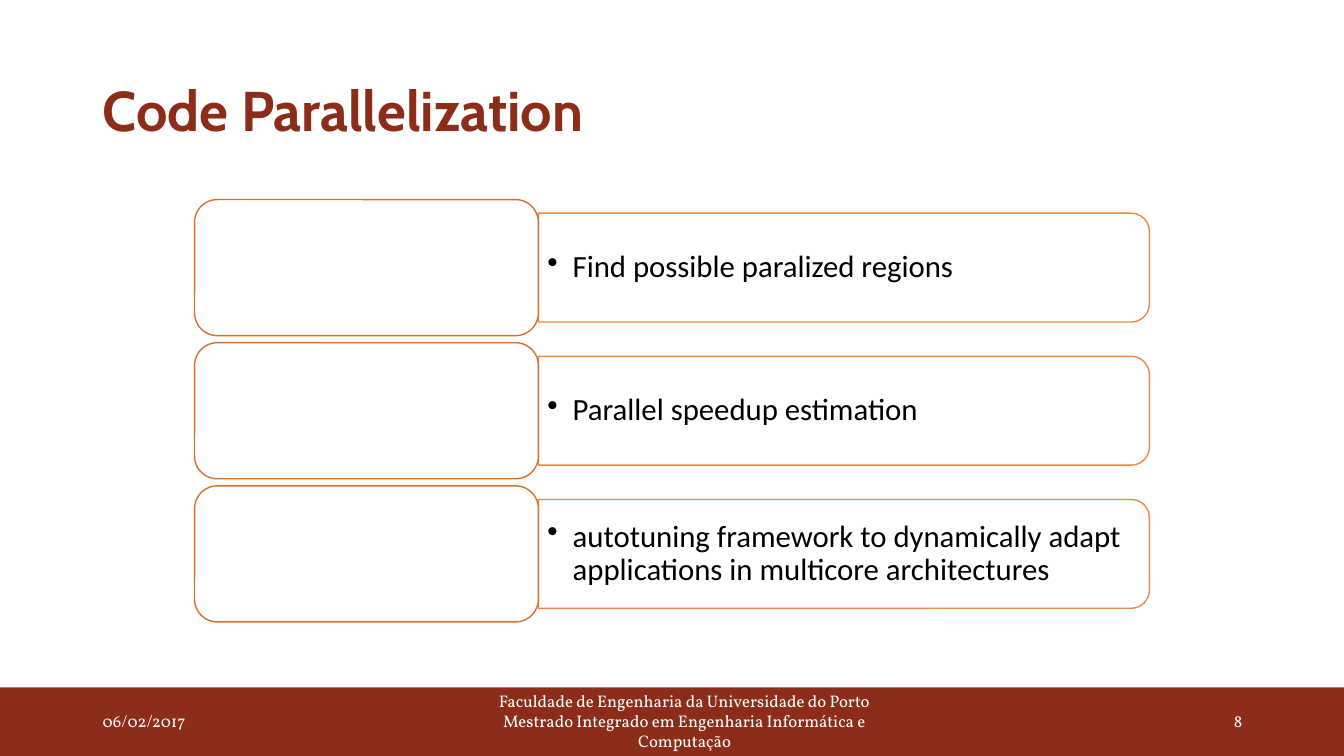
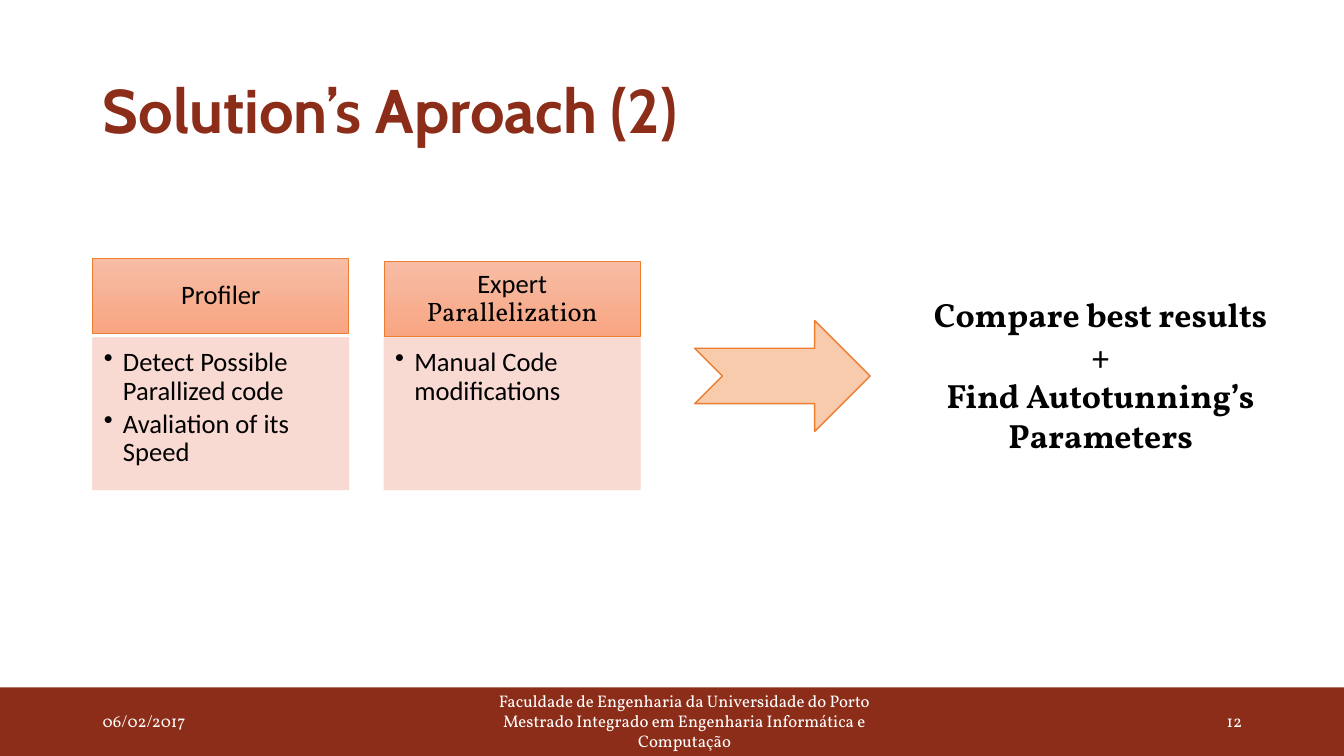
"""Build two slides on code parallelization."""
from lxml import etree
from pptx import Presentation
from pptx.dml.color import RGBColor
from pptx.enum.shapes import MSO_SHAPE
from pptx.enum.text import MSO_ANCHOR, MSO_AUTO_SIZE, PP_ALIGN
from pptx.oxml.ns import qn
from pptx.util import Inches, Pt

RECTANGLE = MSO_SHAPE.RECTANGLE
ROUNDED = MSO_SHAPE.ROUNDED_RECTANGLE
TOP_ROUNDED = MSO_SHAPE.ROUND_2_SAME_RECTANGLE
NOTCHED_ARROW = MSO_SHAPE.NOTCHED_RIGHT_ARROW
TOP, MIDDLE = MSO_ANCHOR.TOP, MSO_ANCHOR.MIDDLE
LEFT, CENTER, RIGHT = PP_ALIGN.LEFT, PP_ALIGN.CENTER, PP_ALIGN.RIGHT
NO_AUTOFIT = MSO_AUTO_SIZE.NONE

COLORS = {
    "brand": "8C2D19",
    "white": "FFFFFF",
    "black": "000000",
    "orange": "ED7D31",
    "label_line": "D7712C",
    "arrow": "F8CBAD",
    "head_top": "F7BDA5",
    "head_bottom": "F8A582",
    "detail": "F8D7CE",
}
TITLE_FONT, BODY_FONT, SERIF_FONT = "Cabin", "Calibri", "Vollkorn"
SLIDE_WIDTH, SLIDE_HEIGHT = 13.33, 7.5
BAND_TOP = 6.82
MARGIN = 0.92
DATE = "06/02/2017"
AFFILIATION = [
    "Faculdade de Engenharia da Universidade do Porto",
    "Mestrado Integrado em Engenharia Informática e Computação",
]


def rgb(name):
    """Return the named colour."""
    return RGBColor.from_string(COLORS[name])


def write_text(holder, paragraphs, *, size, font=BODY_FONT, color="black",
               bold=False, align=LEFT, anchor=MIDDLE, spacing=None,
               after=0, bullet_indent=0, insets=(0.1, 0.05, 0.1, 0.05)):
    """Fill a shape with paragraphs, each a string or a list of (text, font) runs."""
    frame = holder.text_frame
    frame.auto_size = NO_AUTOFIT
    frame.word_wrap = True
    frame.vertical_anchor = anchor
    (frame.margin_left, frame.margin_top,
     frame.margin_right, frame.margin_bottom) = map(Inches, insets)
    for index, content in enumerate(paragraphs):
        paragraph = frame.add_paragraph() if index else frame.paragraphs[0]
        paragraph.alignment = align
        paragraph.line_spacing = spacing
        paragraph.space_after = Pt(after)
        if bullet_indent:
            properties = paragraph._p.get_or_add_pPr()
            properties.set("marL", str(Inches(bullet_indent)))
            properties.set("indent", str(-Inches(bullet_indent)))
            etree.SubElement(properties, qn("a:buChar")).set("char", "•")
        runs = [(content, font)] if isinstance(content, str) else content
        for text, run_font in runs:
            run = paragraph.add_run()
            run.text = text
            run.font.name = run_font
            run.font.size = Pt(size)
            run.font.bold = bold
            run.font.color.rgb = rgb(color)


def add_text(slide, box, paragraphs, **style):
    """Add a text box."""
    write_text(slide.shapes.add_textbox(*map(Inches, box)), paragraphs, **style)


def add_box(slide, preset, box, fill, line=None, line_width=1):
    """Add a flat preset shape; a pair of fills makes a vertical gradient."""
    shape = slide.shapes.add_shape(preset, *map(Inches, box))
    shape.shadow.inherit = False
    if isinstance(fill, tuple):
        shape.fill.gradient()
        shape.fill.gradient_angle = 270
        for stop, name in zip(shape.fill.gradient_stops, fill):
            stop.color.rgb = rgb(name)
    else:
        shape.fill.solid()
        shape.fill.fore_color.rgb = rgb(fill)
    if line:
        shape.line.color.rgb = rgb(line)
        shape.line.width = Pt(line_width)
    else:
        shape.line.fill.background()
    return shape


def set_opacity(shape, percent):
    """Apply one opacity to the fill and line of a shape."""
    for color in shape.element.spPr.iter(qn("a:srgbClr")):
        etree.SubElement(color, qn("a:alpha")).set("val", str(percent * 1000))


def add_page(deck, title, number, title_size):
    """Add a slide with its title, footer band and footer texts."""
    slide = deck.slides.add_slide(deck.slide_layouts[5])
    heading = slide.shapes.title
    heading.left, heading.top, heading.width, heading.height = map(
        Inches, (MARGIN, 0.4, 11.5, 1.45))
    write_text(heading, [title], size=title_size, font=TITLE_FONT,
               color="brand", bold=True, spacing=0.9)
    add_box(slide, RECTANGLE,
            (0, BAND_TOP, SLIDE_WIDTH, SLIDE_HEIGHT - BAND_TOP), "brand")
    for left, width, lines, align in (
            (MARGIN, 3, [DATE], LEFT),
            (4.42, 4.74, AFFILIATION, CENTER),
            (9.42, 3, [str(number)], RIGHT)):
        add_text(slide, (left, 6.95, width, 0.4), lines, size=12,
                 font=SERIF_FONT, color="white", align=align)
    return slide


def add_step(slide, top, description):
    """Add an empty label with a description panel on its right."""
    label_left, label_width, label_height = 1.93, 3.41, 1.35
    panel_width, panel_height, text_height = 6.06, 1.08, 0.97
    panel_left = label_left + label_width
    middle = top + label_height / 2
    panel = add_box(slide, TOP_ROUNDED,
                    (panel_left + (panel_width - panel_height) / 2,
                     middle - panel_width / 2, panel_height, panel_width),
                    "white", "orange")
    panel.rotation = 90
    set_opacity(panel, 90)
    add_text(slide, (panel_left, middle - text_height / 2, 6, text_height),
             [description], size=22, spacing=0.9, after=3.3,
             bullet_indent=0.25, insets=(0.09, 0.05, 0.09, 0.05))
    add_box(slide, ROUNDED, (label_left, top, label_width, label_height),
            "white", "label_line")


def add_card(slide, left, top, heading, details):
    """Add a gradient heading above a panel of bullets."""
    width = 2.54
    head = add_box(slide, RECTANGLE, (left, top, width, 0.75),
                   ("head_top", "head_bottom"), "orange", 0.5)
    write_text(head, [heading], size=19, align=CENTER, spacing=0.9,
               insets=(0.15, 0.08, 0.15, 0.08))
    panel = add_box(slide, RECTANGLE, (left, 3.35, width, 1.51),
                    "detail", "detail", 0.5)
    set_opacity(panel, 90)
    write_text(panel, details, size=19, anchor=TOP, spacing=0.9, after=2.85,
               bullet_indent=0.19, insets=(0.11, 0.11, 0.15, 0.17))


def build_parallelization(deck):
    """Build the slide listing the parallelization steps."""
    slide = add_page(deck, "Code Parallelization", 8, 40)
    steps = (
        "Find possible paralized regions",
        "Parallel speedup estimation",
        "autotuning framework to dynamically adapt applications "
        "in multicore architectures",
    )
    for row, description in enumerate(steps):
        add_step(slide, 1.98 + row * 1.42, description)


def build_approach(deck):
    """Build the slide leading from two methods to their comparison."""
    slide = add_page(deck, "Solution’s Aproach (2)", 12, 44)
    add_card(slide, MARGIN, 2.56, "Profiler",
             ["Detect Possible Parallized code", "Avaliation of its Speed"])
    add_card(slide, 3.81, 2.59,
             [("Expert ", BODY_FONT), ("Parallelization", SERIF_FONT)],
             ["Manual Code modifications"])
    add_box(slide, NOTCHED_ARROW, (6.89, 3.18, 1.74, 1.1), "arrow", "orange")
    add_text(slide, (9.09, 2.87, 3.65, 1.72),
             ["Compare best results", "+", "Find Autotunning’s", "Parameters"],
             size=24, font=SERIF_FONT, bold=True, align=CENTER, anchor=TOP)


def main():
    """Build and save the presentation."""
    deck = Presentation()
    deck.slide_width = Inches(SLIDE_WIDTH)
    deck.slide_height = Inches(SLIDE_HEIGHT)
    build_parallelization(deck)
    build_approach(deck)
    deck.save("out.pptx")


if __name__ == "__main__":
    main()
